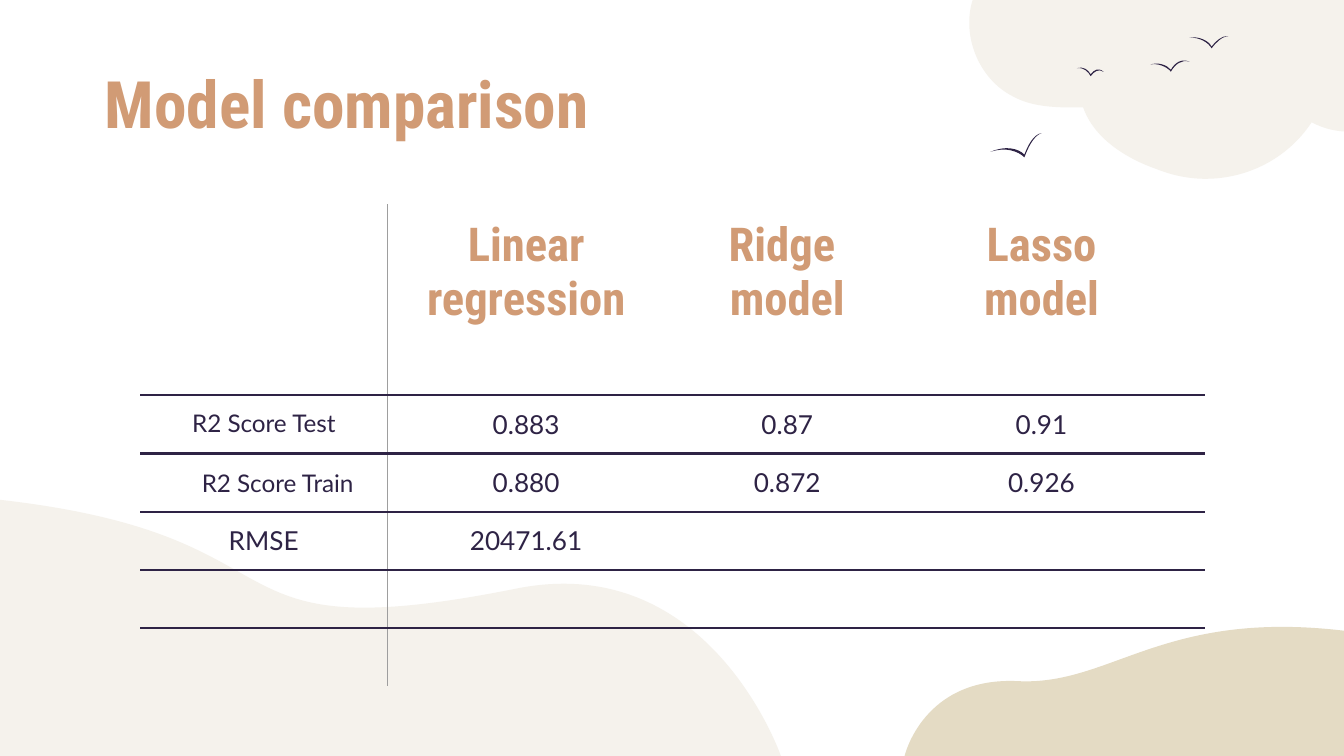
"""Build the model comparison slide with its table, landscape shapes and birds."""
import lxml.etree
import pptx
import pptx.dml.color
import pptx.enum.text
import pptx.oxml
import pptx.oxml.ns
import pptx.util

Pt = pptx.util.Pt
qn = pptx.oxml.ns.qn
ALIGN = pptx.enum.text.PP_ALIGN
ANCHOR = pptx.enum.text.MSO_ANCHOR

THEME = {
    "ink": "2E2345",
    "accent": "D19B75",
    "mist": "F5F2EC",
    "sand": "E4DBC4",
    "divider": "9E9E9E",
    "title": {"name": "Roboto Condensed", "size": Pt(35), "bold": True},
    "header": {"name": "Roboto Condensed", "size": Pt(25), "bold": True},
    "body": {"name": "Lato", "size": Pt(14), "bold": False},
    "label": {"name": "Lato", "size": Pt(13), "bold": False},
}


def write(para, text, style, colour):
    span = para.add_run()
    span.text = text
    for name, value in THEME[style].items():
        setattr(span.font, name, value)
    span.font.color.rgb = pptx.dml.color.RGBColor.from_string(THEME[colour])


def add_outline(page, start, segments, colour):
    points = [pair for segment in segments for pair in zip(segment[::2], segment[1::2])]
    builder = page.shapes.build_freeform(start[0] * 100, start[1] * 100, scale=Pt(0.01))
    builder.add_line_segments([(x * 100, y * 100) for x, y in points], close=True)
    shape = builder.convert_to_shape()
    lines = iter(list(shape._element.iter(qn("a:lnTo"))))
    for segment in segments:
        line = next(lines)
        if len(segment) == 6:
            curve = lxml.etree.Element(qn("a:cubicBezTo"))
            line.addprevious(curve)
            for handle in (line, next(lines), next(lines)):
                curve.append(handle[0])
                handle.getparent().remove(handle)
    shape.shadow.inherit = False
    shape.fill.solid()
    shape.fill.fore_color.rgb = pptx.dml.color.RGBColor.from_string(THEME[colour])
    shape.line.fill.background()


deck = pptx.Presentation()
deck.slide_width, deck.slide_height = Pt(720), Pt(405)
page = deck.slides.add_slide(deck.slide_layouts[5])

landscape = [
    ("mist", (418.3, 405), [
        (418.3, 405, 380.2, 294.5, 276.5, 315.4),
        (103.7, 349.9, 171.4, 287.3, 0, 267.8),
        (0, 405),
    ]),
    ("mist", (632.9, -81.4), [
        (626.4, -81.4, 619.2, -80.6, 612.7, -78.5),
        (591.1, -72, 573.8, -53.3, 570.2, -31),
        (568.8, -31.7, 567.4, -31.7, 565.9, -31.7),
        (546.5, -31.7, 527, -18.7, 521.3, -0.7),
        (514.8, 18.7, 524.2, 42.5, 542.9, 51.8),
        (552.2, 56.9, 563.8, 57.6, 574.6, 57.6),
        (580.3, 57.6),
        (586.1, 74.2, 603.4, 85, 619.9, 90.7),
        (628, 94, 637, 95.8, 645.8, 95.8),
        (668.2, 95.8, 689.8, 85, 702.7, 65.5),
        (709.2, 69.1, 716.4, 70.6, 723.6, 70.6),
        (731.5, 70.6, 738.7, 68.4, 746.6, 64.8),
        (760.3, 57.6, 769, 43.9, 771.1, 28.8),
        (772.6, 13.7, 764.6, -2.9, 751.7, -10.8),
        (758.9, -20.9, 760.3, -34.6, 753.8, -45.4),
        (748.1, -55.4, 736.6, -62.6, 724.3, -63.4),
        (711.4, -63.4, 699.8, -58.3, 691.2, -50.4),
        (690.5, -58.3, 684, -64.1, 676.8, -69.1),
        (663.8, -77, 648.7, -81.4, 632.9, -81.4),
    ]),
    ("sand", (545.8, 365), [
        (596.2, 367.2, 623.5, 325.4, 723.6, 338.4),
        (723.6, 405),
        (484.6, 405),
        (484.6, 405, 494.6, 362.2, 545.8, 365),
    ]),
]
for colour, start, segments in landscape:
    add_outline(page, start, segments, colour)

birds = [
    ((616.3, 34.6), (620.2, 33.3, 625, 34.6, 627.3, 37.4), (629.5, 33.6, 632.9, 31.2, 637.4, 33.1), 1),
    ((637.2, 20.2), (642.2, 19.4, 647.3, 21.6, 649.1, 25), (651.2, 22, 654.8, 18.9, 658.1, 19.4), 1),
    ((530.6, 81.4), (538.6, 77.8, 545.5, 79.5, 548.8, 82.8), (550.4, 78.5, 553.5, 72, 558, 71.3), 1.5),
    ((576.9, 36.5), (580.5, 35.4, 583.1, 37.5, 584.3, 39.8), (586, 37.5, 588.5, 36, 591.3, 38.5), 1),
]
for tip, left_wing, right_wing, depth in birds:
    ax, ay, bx, by, beak_x, beak_y = left_wing
    cx, cy, dx, dy, end_x, end_y = right_wing
    under_right = (dx, dy + depth / 2, cx, cy + depth, beak_x, beak_y + depth)
    under_left = (bx, by + depth, ax, ay + depth / 2, *tip)
    add_outline(page, tip, [left_wing, right_wing, under_right, under_left], "ink")

title = page.shapes.title
placement = {"left": Pt(49), "top": Pt(32.4), "width": Pt(600.5), "height": Pt(45.4)}
for name, value in placement.items():
    setattr(title, name, value)
frame_format = {
    "margin_left": Pt(7.2), "margin_right": Pt(7.2), "margin_top": Pt(7.2), "margin_bottom": Pt(7.2),
    "vertical_anchor": ANCHOR.MIDDLE, "word_wrap": True, "auto_size": pptx.enum.text.MSO_AUTO_SIZE.NONE,
}
for name, value in frame_format.items():
    setattr(title.text_frame, name, value)
title.text_frame.paragraphs[0].alignment = ALIGN.LEFT
write(title.text_frame.paragraphs[0], "Model comparison", "title", "accent")

rows = [
    ["", "Linear regression", "Ridge \nmodel", "Lasso\nmodel", ""],
    ["R2 Score Test", "0.883", "0.87", "0.91", ""],
    ["R2 Score Train", "0.880", "0.872", "0.926", ""],
    ["RMSE", "20471.61", "", "", ""],
    [""] * 5,
    [""] * 5,
]
widths = [132.6, 148.6, 131.2, 141.2, 16.8]
heights = [102.2] + [31.2] * 5
table = page.shapes.add_table(
    len(rows), len(widths), Pt(75), Pt(109.5), Pt(sum(widths)), Pt(sum(heights))
).table
table.first_row = table.horz_banding = False
for column, width in zip(table.columns, widths):
    column.width = Pt(width)
for row, height in zip(table.rows, heights):
    row.height = Pt(height)

for r, texts in enumerate(rows):
    for c, text in enumerate(texts):
        cell = table.cell(r, c)
        cell.fill.background()
        cell.vertical_anchor = ANCHOR.TOP
        margin = Pt(7.2) if text else Pt(0)
        for side in ("left", "right", "top", "bottom"):
            setattr(cell, f"margin_{side}", margin)
        if text == "R2 Score Train":
            cell.margin_left, cell.margin_top = Pt(22), Pt(8.2)
        style = "header" if r == 0 else "label" if text.startswith("R2") else "body"
        for index, line in enumerate(text.split("\n") if text else []):
            frame = cell.text_frame
            para = frame.add_paragraph() if index else frame.paragraphs[0]
            para.alignment = ALIGN.CENTER
            write(para, line, style, "accent" if r == 0 else "ink")
        borders = {
            "lnL": ("divider", 0.75) if c == 1 else None,
            "lnR": ("divider", 0.75) if c == 0 else None,
            "lnT": ("ink", 1.5) if r > 0 else None,
            "lnB": ("ink", 1.5) if r < len(rows) - 1 else None,
        }
        properties = cell._tc.get_or_add_tcPr()
        for position, (tag, border) in enumerate(borders.items()):
            edge = lxml.etree.Element(qn(f"a:{tag}"))
            if border:
                edge.set("w", str(Pt(border[1])))
                fill = lxml.etree.SubElement(edge, qn("a:solidFill"))
                lxml.etree.SubElement(fill, qn("a:srgbClr"), val=THEME[border[0]])
            else:
                lxml.etree.SubElement(edge, qn("a:noFill"))
            properties.insert(position, edge)

deck.save("out.pptx")
